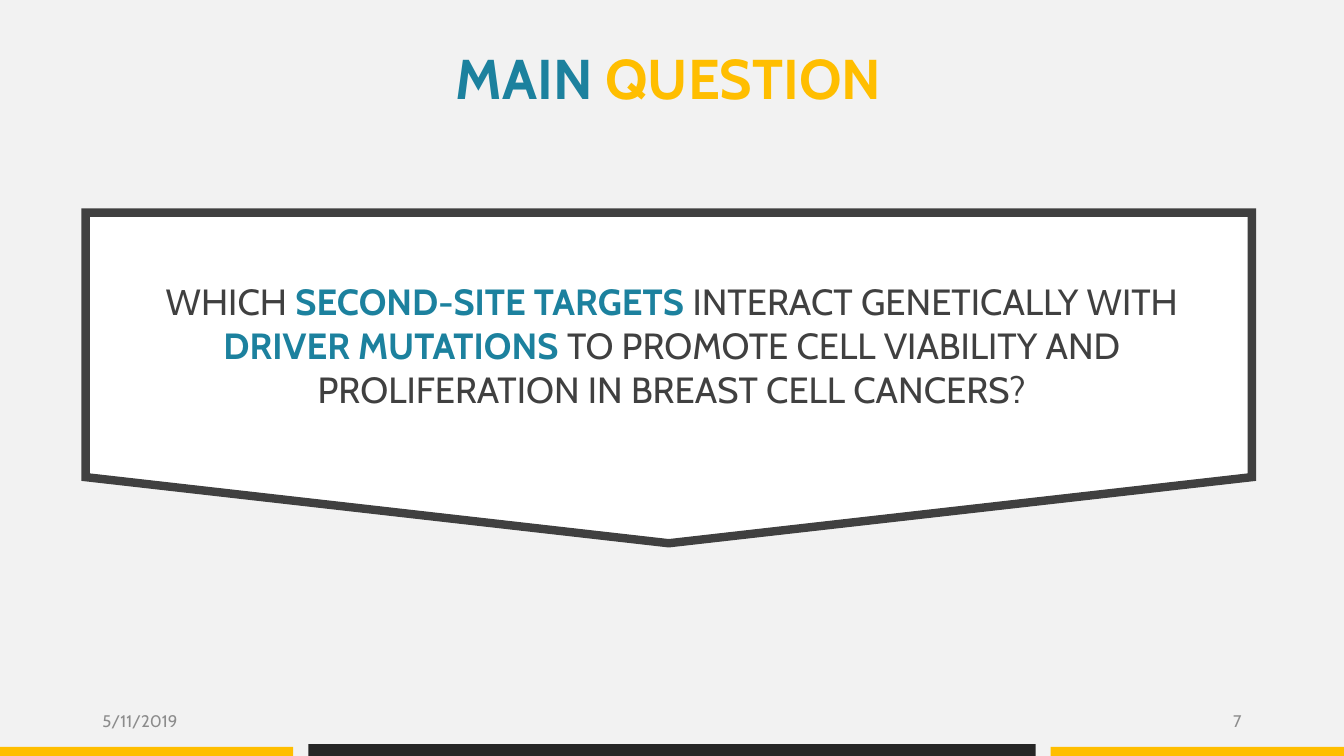
from lxml import etree
from pptx import Presentation
from pptx.dml.color import RGBColor
from pptx.enum import shapes, text
from pptx.oxml import ns
from pptx.util import Cm, Pt

FONT = "Cabin"
TEAL = RGBColor(0x1C, 0x81, 0x9E)
AMBER = RGBColor(0xFF, 0xBE, 0x00)
CHARCOAL = RGBColor(0x40, 0x40, 0x40)
BLACK = RGBColor(0x26, 0x26, 0x26)
GRAY = RGBColor(0x8C, 0x8C, 0x8C)
WHITE = RGBColor(0xFF, 0xFF, 0xFF)
BACKGROUND = RGBColor(0xF2, 0xF2, 0xF2)

PAGE_WIDTH, PAGE_HEIGHT = Cm(33.87), Cm(19.05)


def add_text(page, box, spans, size, align=text.PP_ALIGN.LEFT,
             anchor=text.MSO_ANCHOR.TOP, side_inset=0, end_inset=0):
    """Add one paragraph made of (words, colour, bold) spans."""
    frame = page.shapes.add_textbox(*box).text_frame
    frame.word_wrap = True
    frame.vertical_anchor = anchor
    frame.margin_left = frame.margin_right = side_inset
    frame.margin_top = frame.margin_bottom = end_inset
    para = frame.paragraphs[0]
    para.alignment = align
    for words, color, bold in spans:
        span = para.add_run()
        span.text = words
        span.font.name = FONT
        span.font.size = Pt(size)
        span.font.bold = bold
        span.font.color.rgb = color


def add_panel(page, kind, box, fill):
    panel = page.shapes.add_shape(kind, *box)
    panel.shadow.inherit = False
    panel.fill.solid()
    panel.fill.fore_color.rgb = fill
    panel.line.fill.background()
    return panel


def add_title(page, box):
    add_text(page, box, [("MAIN", TEAL, True), (" QUESTION", AMBER, True)],
             size=40, align=text.PP_ALIGN.CENTER)


def add_question(page, box):
    left, top, width, height = box
    # Banner with sharp corners
    banner = add_panel(page, shapes.MSO_SHAPE.FLOWCHART_OFFPAGE_CONNECTOR, box, WHITE)
    banner.line.color.rgb = CHARCOAL
    banner.line.width = Pt(6)
    outline = banner.line._get_or_add_ln()
    etree.SubElement(outline, ns.qn("a:miter"), lim="800000")
    # Question text
    spans = [
        ("WHICH ", CHARCOAL, False),
        ("SECOND-SITE TARGETS ", TEAL, True),
        ("INTERACT GENETICALLY WITH ", CHARCOAL, False),
        ("DRIVER MUTATIONS", TEAL, True),
        (" TO PROMOTE CELL VIABILITY AND PROLIFERATION IN BREAST CELL CANCERS?",
         CHARCOAL, False),
    ]
    text_box = (left + Cm(0.76), top + Cm(1.68), Cm(28.04), Cm(3.33))
    add_text(page, text_box, spans, size=26, align=text.PP_ALIGN.CENTER)


def add_footer(page, box):
    left, top, width, height = box
    bottom = top + height
    # Bars along the bottom edge
    side, gap = Cm(7.39), Cm(0.38)
    middle = width - 2 * (side + gap)
    bar_left = left
    for bar_width, bar_height, color in [(side, Cm(0.23), AMBER),
                                         (middle, Cm(0.3), BLACK),
                                         (side, Cm(0.23), AMBER)]:
        add_panel(page, shapes.MSO_SHAPE.RECTANGLE,
                  (bar_left, bottom - bar_height, bar_width, bar_height), color)
        bar_left += bar_width + gap
    # Date and page number
    margin, label_width = Cm(2.33), Cm(7.62)
    for words, label_left, align in [
        ("5/11/2019", left + margin, text.PP_ALIGN.LEFT),
        ("7", left + width - margin - label_width, text.PP_ALIGN.RIGHT),
    ]:
        add_text(page, (label_left, top, label_width, Cm(1.01)),
                 [(words, GRAY, False)], size=12, align=align,
                 anchor=text.MSO_ANCHOR.MIDDLE,
                 side_inset=Cm(0.25), end_inset=Cm(0.13))


def main():
    deck = Presentation()
    deck.slide_width, deck.slide_height = PAGE_WIDTH, PAGE_HEIGHT
    page = deck.slides.add_slide(deck.slide_layouts[6])
    page.background.fill.solid()
    page.background.fill.fore_color.rgb = BACKGROUND

    footer_top = Cm(17.66)
    add_footer(page, (0, footer_top, PAGE_WIDTH, PAGE_HEIGHT - footer_top))
    add_question(page, (Cm(2.16), Cm(5.36), Cm(29.39), Cm(8.33)))
    add_title(page, (Cm(1.9), Cm(1.09), Cm(29.9), Cm(1.7)))
    deck.save("out.pptx")


if __name__ == "__main__":
    main()
